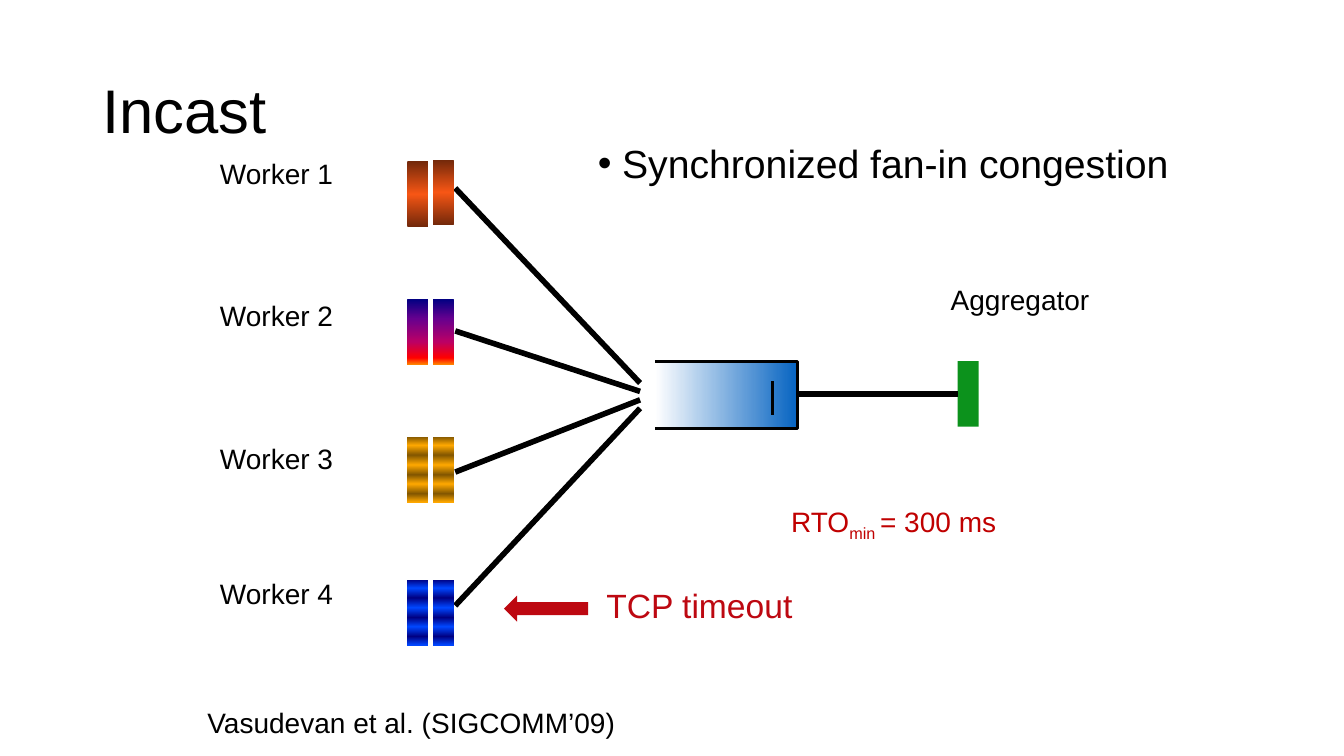
"""Build the Incast slide: four workers sending through one switch buffer to an aggregator."""
import pptx
import pptx.dml.color
import pptx.enum.shapes
import pptx.enum.text
import pptx.oxml.ns
import pptx.util
from lxml import etree

COLORS = {"black": "000000", "red": "BD0811", "dark_red": "C00000", "green": "0C921C"}
EMBER = [(0, "72280A"), (50, "F75615"), (100, "72280A")]
SUNSET = [(0, "000082"), (30, "66008F"), (65, "BA0066"), (90, "FF0000"), (100, "FF8200")]
BAND_STOPS = (0, 13, 28, 43, 58, 72, 87, 100)
GOLD = list(zip(BAND_STOPS, ("825600", "FFA800") * 4))
SAPPHIRE = list(zip(BAND_STOPS, ("000082", "0047FF") * 4))
BUFFER_FADE = [(0, "FFFFFF"), (100, "0563C1")]

COLUMNS, ROWS = 160, 90
UNIT = pptx.util.Inches(1 / 12)
PACKET_COLUMNS = (48.5, 51.5)
PACKET_SIZE = (2.5, 7.8)
LINK_START, HUB_COLUMN, HUB_ROW, HUB_STEP = 54.2, 76.2, 45.6, 1
WORKERS = [
    ("Worker 1", 18.1, (19.2, 19), 22.4, EMBER),
    ("Worker 2", 35, (35.6, 35.6), 39.4, SUNSET),
    ("Worker 3", 52, (52, 52), 56.2, GOLD),
    ("Worker 4", 68, (69, 69), 72.1, SAPPHIRE),
]
BUFFER = (78, 43, 17, 8)
TEXTS = [
    ("Incast", (11, 4.8, 138, 17.4), 44, "black"),
    ("Synchronized fan-in congestion", (70, 16, 73.7, 10.9), 28, "black"),
    ("Aggregator", (112, 33, 22.2, 5.3), 20, "black"),
    ("RTO", (93, 59.5, 34, 12.5), 20, "dark_red"),
    ("TCP timeout", (71, 69, 25, 6), 24, "red"),
    ("Vasudevan et al. (SIGCOMM’09)", (23.5, 83.4, 64, 5.3), 20, "black"),
]
RECTANGLE = pptx.enum.shapes.MSO_SHAPE.RECTANGLE
LEFT_ARROW = pptx.enum.shapes.MSO_SHAPE.LEFT_ARROW


def grid(*values):
    return [round(value * UNIT) for value in values]


def rgb(name):
    return pptx.dml.color.RGBColor.from_string(COLORS[name])


def fill_gradient(shape, stops, angle):
    shape.fill.gradient()
    shape.fill.gradient_angle = angle
    tag = pptx.oxml.ns.qn
    stop_list = shape._element.spPr.find(tag("a:gradFill")).find(tag("a:gsLst"))
    for stop in list(stop_list):
        stop_list.remove(stop)
    for position, color in stops:
        stop = etree.SubElement(stop_list, tag("a:gs"), pos=str(position * 1000))
        etree.SubElement(stop, tag("a:srgbClr"), val=color)


def add_block(slide, kind, box, color=None, stops=None):
    shape = slide.shapes.add_shape(kind, *grid(*box))
    shape.shadow.inherit = False
    shape.line.fill.background()
    if stops:
        fill_gradient(shape, stops, 270)
    else:
        shape.fill.solid()
        shape.fill.fore_color.rgb = rgb(color)
    return shape


def add_line(slide, start, end, width=4):
    connector = slide.shapes.add_connector(
        pptx.enum.shapes.MSO_CONNECTOR.STRAIGHT, *grid(*start, *end))
    connector.line.color.rgb = rgb("black")
    connector.line.width = pptx.util.Pt(width)
    etree.SubElement(connector._element.spPr, pptx.oxml.ns.qn("a:effectLst"))
    return connector


def add_text(slide, text, box, size, color):
    frame = slide.shapes.add_textbox(*grid(*box)).text_frame
    frame.word_wrap = True
    paragraph = frame.paragraphs[0]
    paragraph.text = text
    if text == "Incast":
        frame.vertical_anchor = pptx.enum.text.MSO_ANCHOR.MIDDLE
        paragraph.line_spacing = 0.9
    elif text == "RTO":
        subscript = paragraph.add_run()
        subscript.text = "min "
        subscript._r.get_or_add_rPr().set("baseline", "-25000")
        paragraph.add_run().text = "= 300 ms"
    elif text.startswith("Synchronized"):
        properties = paragraph._p.get_or_add_pPr()
        indent = pptx.util.Inches(0.24)
        properties.set("marL", str(indent))
        properties.set("indent", str(-indent))
        etree.SubElement(properties, pptx.oxml.ns.qn("a:buFont"), typeface="Arial")
        etree.SubElement(properties, pptx.oxml.ns.qn("a:buChar"), char="•")
    paragraph.font.name = "Arial"
    paragraph.font.size = pptx.util.Pt(size)
    paragraph.font.color.rgb = rgb(color)


def add_buffer(slide):
    left, top, width, height = BUFFER
    right, bottom = left + width, top + height
    builder = slide.shapes.build_freeform(*grid(left, top))
    corners = [(right, top), (right, bottom), (left, bottom)]
    builder.add_line_segments([grid(*corner) for corner in corners], close=False)
    shape = builder.convert_to_shape()
    shape.shadow.inherit = False
    fill_gradient(shape, BUFFER_FADE, 0)
    shape.line.color.rgb = rgb("black")
    shape.line.width = pptx.util.Pt(2.25)
    add_line(slide, (right - 3, 45.4), (right - 3, 49.4), 2.25)


def main():
    presentation = pptx.Presentation()
    presentation.slide_width, presentation.slide_height = grid(COLUMNS, ROWS)
    slide = presentation.slides.add_slide(presentation.slide_layouts[6])

    for index, (label, label_row, packet_rows, link_row, stops) in enumerate(WORKERS):
        add_line(slide, (LINK_START, link_row), (HUB_COLUMN, HUB_ROW + index * HUB_STEP))
        for column, row in zip(PACKET_COLUMNS, packet_rows):
            add_block(slide, RECTANGLE, (column, row, *PACKET_SIZE), stops=stops)
        add_text(slide, label, (25, label_row, 18, 5.3), 20, "black")

    aggregator = add_block(slide, RECTANGLE, (114, 43, *PACKET_SIZE), "green")
    link = add_line(slide, (94.8, 46.9), (114, 46.9))
    link.end_connect(aggregator, 1)
    add_buffer(slide)
    add_block(slide, LEFT_ARROW, (60, 70.9, 10, 3.1), "red")
    for text in TEXTS:
        add_text(slide, *text)

    presentation.save("out.pptx")


if __name__ == "__main__":
    main()
